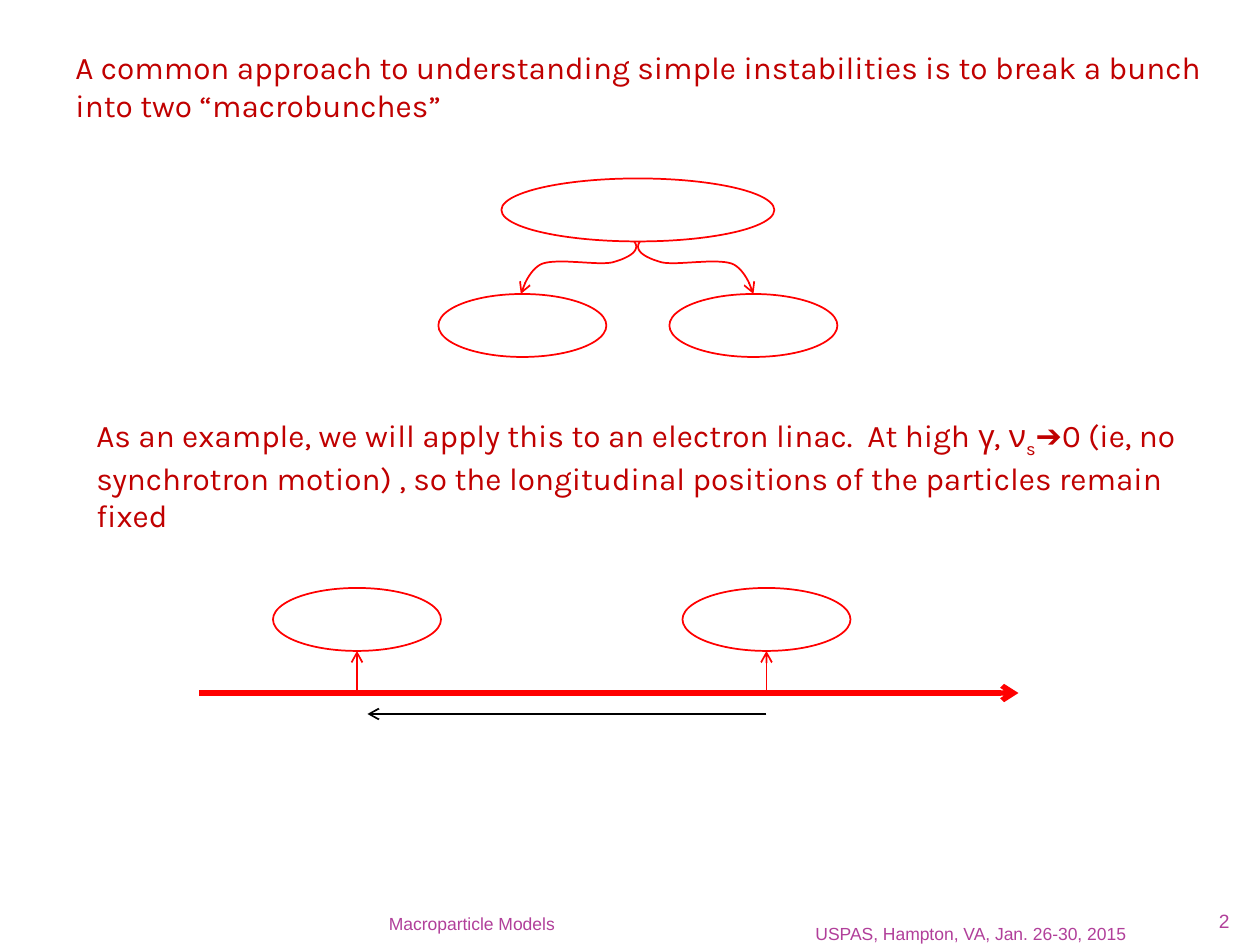
from dataclasses import dataclass

from lxml.etree import SubElement
from pptx import Presentation
from pptx.dml.color import RGBColor
from pptx.enum.shapes import MSO_CONNECTOR, MSO_SHAPE
from pptx.enum.text import MSO_ANCHOR, MSO_AUTO_SIZE, PP_ALIGN
from pptx.oxml.ns import qn
from pptx.util import Inches, Pt


@dataclass(frozen=True)
class Theme:
    body_color: RGBColor = RGBColor(0xC0, 0x00, 0x00)
    footer_color: RGBColor = RGBColor(0xB1, 0x3F, 0x9A)
    beam: RGBColor = RGBColor(0xFF, 0x00, 0x00)
    distance: RGBColor = RGBColor(0x00, 0x00, 0x00)
    body_font: str = "Karla"
    footer_font: str = "Arial"
    body_size: int = 18
    footer_size: int = 10
    number_size: int = 11
    thin: int = 1
    thick: int = 3


def bezier_points(start, curves, steps=16):
    points = [start]
    for first, second, end in curves:
        origin = points[-1]
        for step in range(1, steps + 1):
            t = step / steps
            weights = ((1 - t) ** 3, 3 * t * (1 - t) ** 2, 3 * t**2 * (1 - t), t**3)
            corners = (origin, first, second, end)
            points.append(tuple(
                sum(w * corner[axis] for w, corner in zip(weights, corners))
                for axis in (0, 1)
            ))
    return points


class SlideBuilder:
    COLUMNS, ROWS = 120, 90

    def __init__(self, deck, theme):
        self.theme = theme
        self.column = deck.slide_width / self.COLUMNS
        self.row = deck.slide_height / self.ROWS
        self.slide = deck.slides.add_slide(deck.slide_layouts[6])

    def place(self, *lengths):
        units = (self.column, self.row)
        return [round(length * units[i % 2]) for i, length in enumerate(lengths)]

    def stroke(self, mark, color, width, arrow=False):
        mark.line.color.rgb = color
        mark.line.width = Pt(width)
        if arrow:
            outline = mark._element.spPr.find(qn("a:ln"))
            SubElement(outline, qn("a:tailEnd"), type="arrow")

    def body(self, left, top, *pieces):
        frame = self.slide.shapes.add_textbox(*self.place(left, top, 111, 8.5)).text_frame
        frame.word_wrap = True
        frame.auto_size = MSO_AUTO_SIZE.SHAPE_TO_FIT_TEXT
        for wording, font, baseline in pieces:
            run = frame.paragraphs[0].add_run()
            run.text = wording
            run.font.name = font
            run.font.size = Pt(self.theme.body_size)
            run.font.color.rgb = self.theme.body_color
            if baseline:
                run.font._element.set("baseline", str(baseline))

    def footer(self, wording, area, size, inset=1.2):
        frame = self.slide.shapes.add_textbox(*self.place(*area)).text_frame
        frame.word_wrap = True
        frame.vertical_anchor = MSO_ANCHOR.BOTTOM
        frame.margin_left = frame.margin_right = round(inset * self.column)
        frame.margin_top = frame.margin_bottom = 0
        frame.text = wording
        paragraph = frame.paragraphs[0]
        paragraph.alignment = PP_ALIGN.RIGHT
        font = paragraph.runs[0].font
        font.name = self.theme.footer_font
        font.size = Pt(size)
        font.color.rgb = self.theme.footer_color

    def bunch(self, left, top, width=16):
        ellipse = self.slide.shapes.add_shape(
            MSO_SHAPE.OVAL, *self.place(left, top, width, 6)
        )
        ellipse.shadow.inherit = False
        ellipse.fill.background()
        self.stroke(ellipse, self.theme.beam, self.theme.thin)

    def arrow(self, start, end, color, width):
        line = self.slide.shapes.add_connector(
            MSO_CONNECTOR.STRAIGHT, *self.place(*start, *end)
        )
        self.stroke(line, color, width, arrow=True)
        SubElement(line._element.spPr, qn("a:effectLst"))

    def curved_arrow(self, points):
        start, *rest = [self.place(*point) for point in points]
        outline = self.slide.shapes.build_freeform(*start)
        outline.add_line_segments(rest, close=False)
        curve = outline.convert_to_shape()
        curve.shadow.inherit = False
        curve.fill.background()
        self.stroke(curve, self.theme.beam, self.theme.thin, arrow=True)


def main():
    deck = Presentation()
    deck.slide_width, deck.slide_height = Inches(10), Inches(7.5)
    theme = Theme()
    page = SlideBuilder(deck, theme)

    page.footer("USPAS, Hampton, VA, Jan. 26-30, 2015", (69, 86.2, 39.4, 3.7), theme.footer_size)
    page.footer("Macroparticle Models", (6, 86, 48, 3), theme.footer_size)
    page.footer("2", (109.4, 85.8, 7.7, 3), theme.number_size, inset=0)

    page.body(6, 4, (
        "A common approach to understanding simple instabilities is to break "
        "a bunch into two “macrobunches”", theme.body_font, 0,
    ))
    page.bunch(47.75, 17, width=26)
    for left in (41.75, 63.75):
        page.bunch(left, 28)

    left_split = bezier_points((60.4, 23), [
        ((61.1, 23.9), (59.8, 24.6), (58.3, 25)),
        ((56.9, 25.3), (53.3, 24.6), (51.7, 25.1)),
        ((50.3, 25.6), (49.6, 28), (49.6, 28)),
    ])
    split_axis = 60.68
    page.curved_arrow(left_split)
    page.curved_arrow([(2 * split_axis - x, y) for x, y in left_split])

    page.body(
        8, 39,
        ("As an example, we will apply this to an electron linac.  At high γ, ν",
         theme.body_font, 0),
        ("s", theme.body_font, -25000),
        ("➔", theme.footer_font, 0),
        ("0 (ie, no synchrotron motion) , so the longitudinal positions of the "
         "particles remain fixed", theme.body_font, 0),
    )
    page.arrow((19, 66), (97, 66), theme.beam, theme.thick)
    for center in (34, 73):
        page.bunch(center - 8, 56)
        page.arrow((center, 66), (center, 62), theme.beam, theme.thin)
    page.arrow((73, 68), (35, 68), theme.distance, theme.thin)

    deck.save("out.pptx")


if __name__ == "__main__":
    main()
